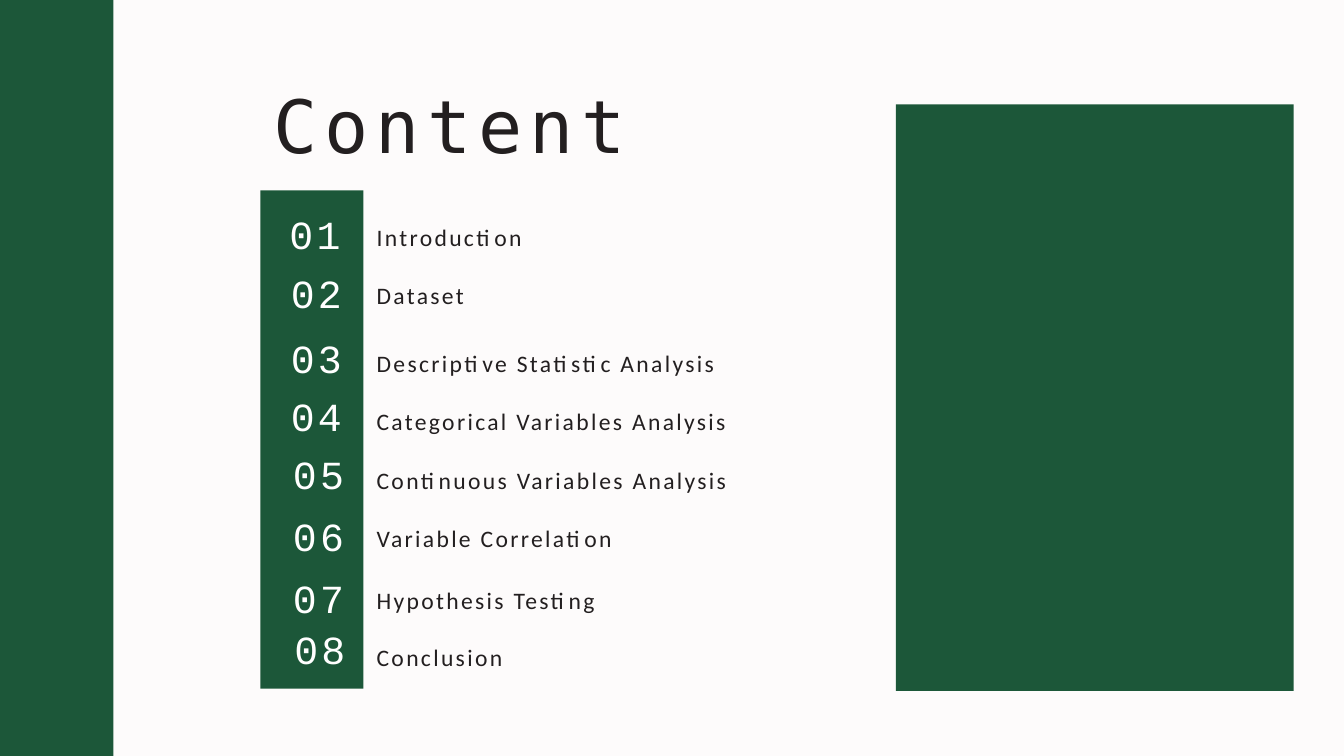
from pptx import Presentation
from pptx import util as u
from pptx.dml.color import RGBColor
from pptx.enum import shapes, text

GREEN = RGBColor(0x1C, 0x57, 0x39)
INK = RGBColor(0x23, 0x1F, 0x20)
WHITE = RGBColor(0xFF, 0xFF, 0xFF)
PAPER = RGBColor(0xFD, 0xFB, 0xFB)

PX_PER_INCH = 96
SLIDE_WIDTH, SLIDE_HEIGHT = 1920, 1080

TITLE = {"font": "DejaVu Sans Mono", "size": 78.7, "color": INK,
         "tracking": 770, "leading": 108.6, "align": text.PP_ALIGN.LEFT}
NUMBER = {"font": "Courier New", "size": 42.7, "color": WHITE,
          "tracking": 350, "leading": 51.2, "align": text.PP_ALIGN.CENTER}
LABEL = {"font": "Calibri", "size": 25.3, "color": INK,
         "tracking": 250, "leading": 34.8, "align": text.PP_ALIGN.LEFT}

NUMBER_WIDTH, NUMBER_HEIGHT = 98, 68
LABEL_LEFT, LABEL_HEIGHT = 538, 46

# label, number left, number top, label top, label width
CONTENTS = [
    ("Introduction", 401, 300, 312, 608),
    ("Dataset", 403, 384, 396, 638),
    ("Descriptive Statistic Analysis", 403, 476, 492, 608),
    ("Categorical Variables Analysis", 403, 560, 575, 638),
    ("Continuous Variables Analysis", 406, 643, 660, 638),
    ("Variable Correlation", 406, 731, 743, 608),
    ("Hypothesis Testing", 406, 820, 831, 638),
    ("Conclusion", 408, 892, 912, 638),
]
GREEN_BLOCKS = [
    (372, 272, 147, 712),
    (-162, -59, 324, 1187),
    (1280, 149, 568, 838),
]


def px(length):
    return u.Emu(length * u.Inches(1) // PX_PER_INCH)


def set_all(target, values):
    for name, value in values.items():
        setattr(target, name, value)


def place(shape, *bounds):
    names = ("left", "top", "width", "height")
    set_all(shape, dict(zip(names, map(px, bounds))))


def write(box, wording, style):
    frame = box.text_frame
    set_all(frame, {
        "margin_left": 0, "margin_top": 0, "margin_right": 0, "margin_bottom": 0,
        "word_wrap": True, "vertical_anchor": text.MSO_ANCHOR.TOP,
        "auto_size": text.MSO_AUTO_SIZE.SHAPE_TO_FIT_TEXT,
    })
    para = frame.paragraphs[0]
    set_all(para, {"alignment": style["align"],
                   "line_spacing": u.Pt(style["leading"])})
    span = para.add_run()
    span.text = wording
    set_all(span.font, {"name": style["font"], "size": u.Pt(style["size"])})
    span.font.color.rgb = style["color"]
    span._r.get_or_add_rPr().set("spc", str(style["tracking"]))


def add_block(page, bounds):
    block = page.shapes.add_shape(shapes.MSO_SHAPE.RECTANGLE, *map(px, bounds))
    block.shadow.inherit = False
    block.fill.solid()
    block.fill.fore_color.rgb = GREEN
    block.line.fill.background()


def add_text(page, wording, bounds, style):
    write(page.shapes.add_textbox(*map(px, bounds)), wording, style)


def add_entry(page, number, entry):
    label, number_left, number_top, label_top, label_width = entry
    add_text(page, f"{number:02d}",
             (number_left, number_top, NUMBER_WIDTH, NUMBER_HEIGHT), NUMBER)
    add_text(page, label,
             (LABEL_LEFT, label_top, label_width, LABEL_HEIGHT), LABEL)


def main():
    deck = Presentation()
    set_all(deck, {"slide_width": px(SLIDE_WIDTH), "slide_height": px(SLIDE_HEIGHT)})
    page = deck.slides.add_slide(deck.slide_layouts.get_by_name("Title Only"))
    page.background.fill.solid()
    page.background.fill.fore_color.rgb = PAPER

    for bounds in GREEN_BLOCKS:
        add_block(page, bounds)
    place(page.shapes.title, 390, 95, 594, 145)
    write(page.shapes.title, "Content", TITLE)
    for number, entry in enumerate(CONTENTS, start=1):
        add_entry(page, number, entry)

    deck.save("out.pptx")


if __name__ == "__main__":
    main()
